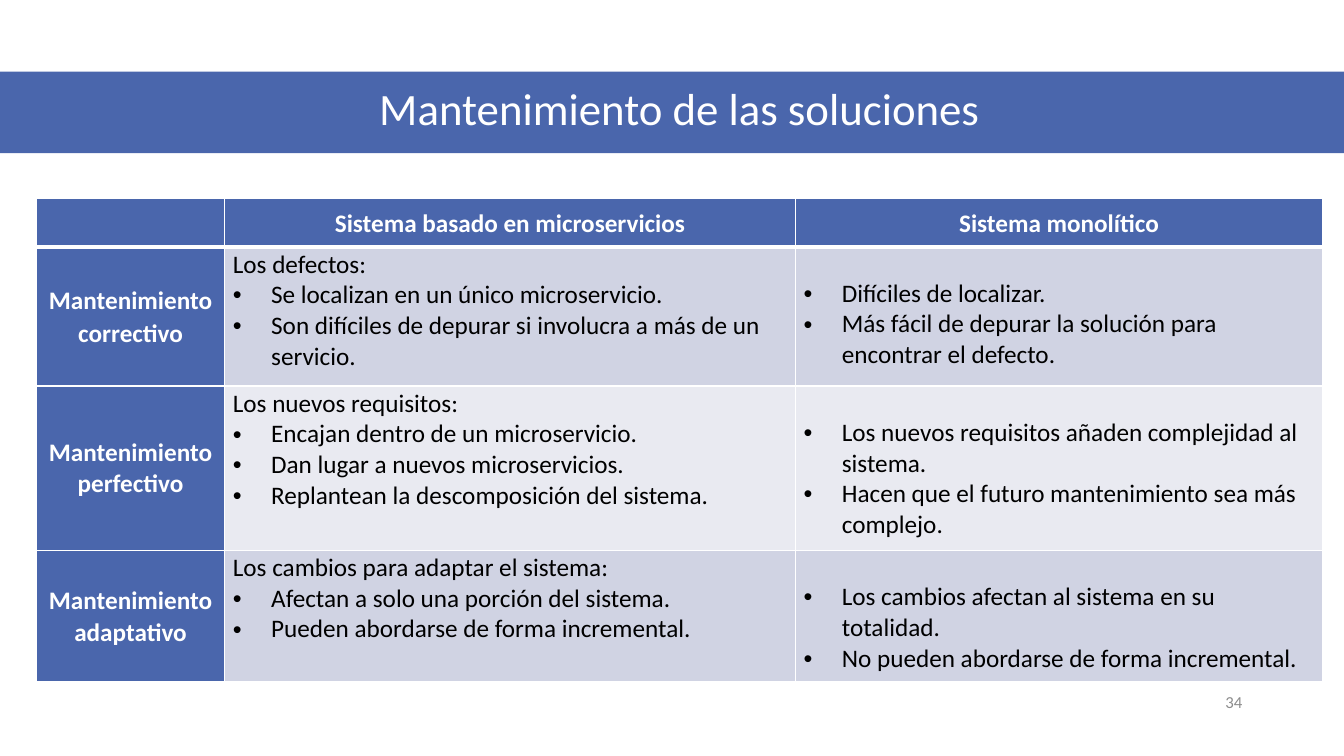
from dataclasses import dataclass

from lxml import etree
from pptx import Presentation
from pptx import util as u
from pptx.dml.color import RGBColor
from pptx.enum import shapes, text
from pptx.oxml.ns import qn

SLIDE_WIDTH, SLIDE_HEIGHT = u.Inches(13.33), u.Inches(7.5)
BLUE, WHITE, BLACK, GREY = "4A66AC", "FFFFFF", "000000", "8C8C8C"
BANDS = ("D0D3E3", "E9EAF1")
FONT = "Calibri"
BULLET_INDENT = u.Inches(0.38)
CELL_INSET = u.Inches(0.08)
EMPTY_LINE = u.Inches(0.31)
LOOSE = 1.07

# Shares of the slide's width and height, in percent
COLUMN_WIDTHS = (14.03, 42.46, 39.23)
HEADER_HEIGHT = 6.4


@dataclass(frozen=True)
class Box:
    """A rectangle in percent of the slide's width and height."""
    left: float
    top: float
    width: float
    height: float

    def lengths(self) -> tuple[u.Length, ...]:
        return across(self.left), down(self.top), across(self.width), down(self.height)


@dataclass(frozen=True)
class Maintenance:
    kind: str
    height: float
    intro: str
    microservices: tuple[str, ...]
    monolith: tuple[str, ...]
    kind_spacing: float = LOOSE


HEADERS = ("", "Sistema basado en microservicios", "Sistema monolítico")
ROWS = (
    Maintenance(
        "Mantenimiento correctivo", 18.4, "Los defectos:",
        ("Se localizan en un único microservicio.",
         "Son difíciles de depurar si involucra a más de un servicio."),
        ("Difíciles de localizar.",
         "Más fácil de depurar la solución para encontrar el defecto."),
    ),
    Maintenance(
        "Mantenimiento perfectivo", 21.73, "Los nuevos requisitos:",
        ("Encajan dentro de un microservicio.",
         "Dan lugar a nuevos microservicios.",
         "Replantean la descomposición del sistema."),
        ("Los nuevos requisitos añaden complejidad al sistema.",
         "Hacen que el futuro mantenimiento sea más complejo."),
        kind_spacing=1.0,
    ),
    Maintenance(
        "Mantenimiento adaptativo", 17.33, "Los cambios para adaptar el sistema:",
        ("Afectan a solo una porción del sistema.",
         "Pueden abordarse de forma incremental."),
        ("Los cambios afectan al sistema en su totalidad.",
         "No pueden abordarse de forma incremental."),
    ),
)


def across(percent: float) -> u.Length:
    return u.Emu(round(SLIDE_WIDTH * percent / 100))


def down(percent: float) -> u.Length:
    return u.Emu(round(SLIDE_HEIGHT * percent / 100))


def color(hex_value: str) -> RGBColor:
    return RGBColor.from_string(hex_value)


def write(paragraph, content: str, *, size: float = 18, ink: str = BLACK, bold: bool = False,
          align=text.PP_ALIGN.LEFT, spacing: float = 1.0, bullet: bool = False) -> None:
    paragraph.alignment = align
    paragraph.line_spacing = spacing
    run = paragraph.add_run()
    run.text = content
    run.font.name, run.font.size, run.font.bold = FONT, u.Pt(size), bold
    run.font.color.rgb = color(ink)
    if bullet:
        properties = paragraph._p.get_or_add_pPr()
        properties.set("marL", str(BULLET_INDENT))
        properties.set("indent", str(-BULLET_INDENT))
        etree.SubElement(properties, qn("a:buFont"), typeface="Arial")
        etree.SubElement(properties, qn("a:buChar"), char="•")


def write_bullets(frame, items: tuple[str, ...], *, intro: str = "") -> None:
    if intro:
        write(frame.paragraphs[0], intro, spacing=LOOSE)
    for index, item in enumerate(items):
        reuse_first = index == 0 and not intro
        paragraph = frame.paragraphs[0] if reuse_first else frame.add_paragraph()
        write(paragraph, item, bullet=True)


def add_text(slide, box: Box, content: str, **style) -> None:
    frame = slide.shapes.add_textbox(*box.lengths()).text_frame
    frame.word_wrap = True
    frame.vertical_anchor = text.MSO_ANCHOR.MIDDLE
    write(frame.paragraphs[0], content, **style)


def style_cell(cell, fill: str, *, anchor=text.MSO_ANCHOR.TOP, top_line: float = 1,
               bottom_line: float = 1) -> None:
    cell.fill.solid()
    cell.fill.fore_color.rgb = color(fill)
    cell.vertical_anchor = anchor
    cell.margin_left = cell.margin_right = CELL_INSET
    cell.margin_top = cell.margin_bottom = 0
    widths = {"a:lnL": 1, "a:lnR": 1, "a:lnT": top_line, "a:lnB": bottom_line}
    properties = cell._tc.get_or_add_tcPr()
    for position, (tag, points) in enumerate(widths.items()):
        line = etree.Element(qn(tag), w=str(u.Pt(points)))
        solid = etree.SubElement(line, qn("a:solidFill"))
        etree.SubElement(solid, qn("a:srgbClr"), val=WHITE)
        properties.insert(position, line)


def write_heading(cell, content: str, *, spacing: float = LOOSE, **lines) -> None:
    style_cell(cell, BLUE, anchor=text.MSO_ANCHOR.MIDDLE, **lines)
    if content:
        write(cell.text_frame.paragraphs[0], content, ink=WHITE, bold=True,
              align=text.PP_ALIGN.CENTER, spacing=spacing)


def add_comparison(slide) -> None:
    heights = (HEADER_HEIGHT, *(row.height for row in ROWS))
    box = Box(2.7, 26.27, sum(COLUMN_WIDTHS), sum(heights))
    table = slide.shapes.add_table(len(heights), len(COLUMN_WIDTHS), *box.lengths()).table
    table.first_row = table.horz_banding = False
    for column, width in zip(table.columns, COLUMN_WIDTHS):
        column.width = across(width)
    for table_row, height in zip(table.rows, heights):
        table_row.height = down(height)
    for column, header in enumerate(HEADERS):
        write_heading(table.cell(0, column), header, bottom_line=3)
    for index, row in enumerate(ROWS):
        kind, microservices, monolith = table.rows[index + 1].cells
        top_line = 3 if index == 0 else 1
        write_heading(kind, row.kind, spacing=row.kind_spacing, top_line=top_line)
        for cell in (microservices, monolith):
            style_cell(cell, BANDS[index % 2], top_line=top_line)
        write_bullets(microservices.text_frame, row.microservices, intro=row.intro)
        monolith.margin_top = EMPTY_LINE
        write_bullets(monolith.text_frame, row.monolith)


def add_banner(slide) -> None:
    banner = slide.shapes.add_shape(shapes.MSO_SHAPE.RECTANGLE, *Box(0, 9.47, 100, 10.8).lengths())
    banner.shadow.inherit = False
    banner.fill.solid()
    banner.fill.fore_color.rgb = color(BLUE)
    banner.line.fill.background()


def main() -> None:
    presentation = Presentation()
    presentation.slide_width, presentation.slide_height = SLIDE_WIDTH, SLIDE_HEIGHT
    slide = presentation.slides.add_slide(presentation.slide_layouts[6])
    add_banner(slide)
    add_text(slide, Box(4.58, 9.33, 91.97, 10.8), "Mantenimiento de las soluciones",
             size=32, ink=WHITE, align=text.PP_ALIGN.CENTER, spacing=0.9)
    add_comparison(slide)
    add_text(slide, Box(70.67, 90.13, 22.5, 5.33), "34",
             size=12, ink=GREY, align=text.PP_ALIGN.RIGHT)
    presentation.save("out.pptx")


if __name__ == "__main__":
    main()
